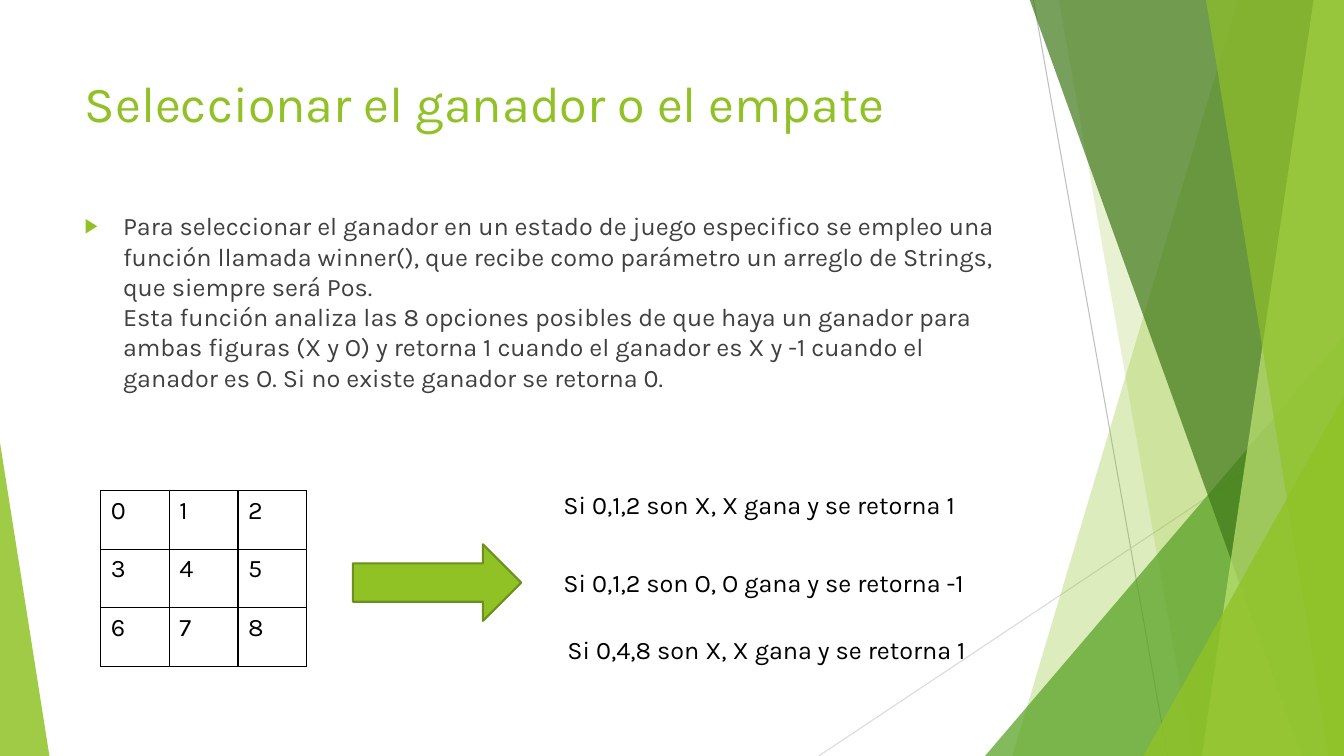
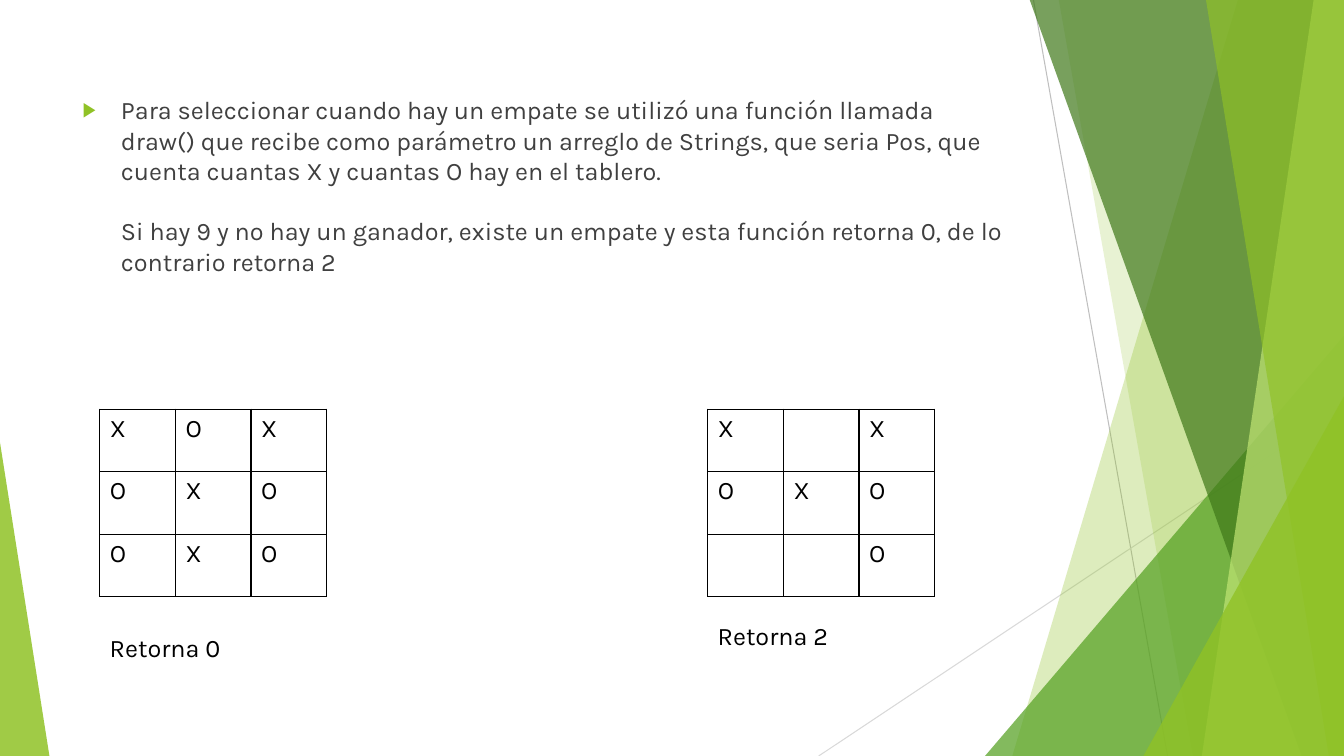
from dataclasses import dataclass
from typing import Any, NamedTuple, Optional

from lxml import etree
from pptx import Presentation
from pptx import util as u
from pptx.dml.color import RGBColor
from pptx.enum import shapes, text
from pptx.oxml import ns
from pptx.slide import Slide, SlideLayout


# Theme: every colour and type size
@dataclass(frozen=True)
class Theme:
    font: str = "Karla"
    lime: str = "90C226"
    green: str = "54A021"
    forest: str = "3F7819"
    pale: str = "C0E474"
    olive: str = "6B901C"
    ink: str = "404040"
    black: str = "000000"
    grey: str = "BFBFBF"
    light_grey: str = "D9D9D9"
    title_size: float = 36
    text_size: float = 18
    indent: float = 0.38


THEME = Theme()
WIDTH, HEIGHT = 13.33, 7.5
OVERHANG = -0.01


class Box(NamedTuple):
    left: float
    top: float
    width: float
    height: float

    def lengths(self) -> list[u.Length]:
        return [u.Inches(value) for value in self]


class Ray(NamedTuple):
    start: tuple[float, float]
    end: tuple[float, float]
    colour: str


class Band(NamedTuple):
    """Full-height band from a slanted left edge to the right slide edge."""
    top_x: float
    bottom_x: float
    colour: str
    opacity: int


class Wedge(NamedTuple):
    box: Box
    apex: float
    colour: str
    opacity: int


class Point(NamedTuple):
    """One paragraph of the body; only the first of a point has a bullet."""
    words: str
    gap: float
    bullet: bool = False


class Note(NamedTuple):
    words: str
    box: Box


class Board(NamedTuple):
    rows: tuple[str, str, str]
    left: float
    top: float
    column: float
    row: float


DECOR = (
    Ray((10.25, 0), (11.58, HEIGHT), THEME.grey),
    Ray((WIDTH, 4.03), (8.12, HEIGHT), THEME.light_grey),
    Band(12.28, 10.04, THEME.lime, 30),
    Band(10.5, 11.83, THEME.lime, 20),
    Wedge(Box(9.77, 3.33, 3.56, 4.17), 1, THEME.green, 72),
    Band(10.21, 12.91, THEME.forest, 70),
    Band(13.03, 11.92, THEME.pale, 70),
    Band(11.96, 13.18, THEME.lime, 65),
    Wedge(Box(11.34, 3.93, 1.99, 3.57), 1, THEME.lime, 80),
    Wedge(Box(0, 4.39, 0.49, 3.11), 0, THEME.lime, 85),
)


# Formatting helpers
def apply(target: Any, formats: dict[str, Any]) -> None:
    for name, value in formats.items():
        setattr(target, name, value)


def child(parent: Any, tag: str, **attributes: str) -> Any:
    return etree.SubElement(parent, ns.qn(tag), attributes)


def style_text(frame: Any, size: float, colour: str) -> None:
    for paragraph in frame.paragraphs:
        paragraph.alignment = text.PP_ALIGN.LEFT
        for run in paragraph.runs:
            apply(run.font, {"name": THEME.font, "size": u.Pt(size)})
            run.font.color.rgb = RGBColor.from_string(colour)


def fit_frame(placeholder: Any, box: Box) -> Any:
    apply(placeholder, dict(zip(("left", "top", "width", "height"), box.lengths())))
    frame = placeholder.text_frame
    apply(frame, {"word_wrap": True, "auto_size": text.MSO_AUTO_SIZE.NONE,
                  "vertical_anchor": text.MSO_ANCHOR.TOP})
    return frame


def fill_shape(shape: Any, colour: str, opacity: int = 100) -> None:
    shape.shadow.inherit = False
    shape.fill.solid()
    shape.fill.fore_color.rgb = RGBColor.from_string(colour)
    shape.line.fill.background()
    if opacity < 100:
        tint = shape.element.xpath("./p:spPr/a:solidFill/a:srgbClr")[0]
        child(tint, "a:alpha", val=str(opacity * 1000))


# Shared facet decoration
def draw_ray(slide: Slide, ray: Ray) -> Any:
    ends = [u.Inches(value) for value in (*ray.start, *ray.end)]
    line = slide.shapes.add_connector(shapes.MSO_CONNECTOR.STRAIGHT, *ends)
    line.line.color.rgb = RGBColor.from_string(ray.colour)
    line.line.width = u.Pt(0.75)
    child(line.element.spPr, "a:effectLst")
    return line


def draw_band(slide: Slide, band: Band) -> Any:
    corners = [(u.Inches(x), u.Inches(y)) for x, y in (
        (band.top_x, OVERHANG), (WIDTH, OVERHANG),
        (WIDTH, HEIGHT), (band.bottom_x, HEIGHT))]
    builder = slide.shapes.build_freeform(*corners[0])
    builder.add_line_segments(corners[1:], close=True)
    facet = builder.convert_to_shape()
    fill_shape(facet, band.colour, band.opacity)
    return facet


def draw_wedge(slide: Slide, wedge: Wedge) -> Any:
    facet = slide.shapes.add_shape(
        shapes.MSO_SHAPE.ISOSCELES_TRIANGLE, *wedge.box.lengths())
    facet.adjustments[0] = wedge.apex
    fill_shape(facet, wedge.colour, wedge.opacity)
    return facet


def decorate_layout(layout: SlideLayout, slide: Slide) -> None:
    """Draw the facets on a slide, then move them behind the layout's parts."""
    draw = {Ray: draw_ray, Band: draw_band, Wedge: draw_wedge}
    tree = layout.shapes.element
    for order, part in enumerate(DECOR):
        facet = draw[type(part)](slide, part).element
        facet.xpath(".//p:cNvPr")[0].set("id", str(100 + order))
        tree.insert(2 + order, facet)


# Slide content
def write_title(slide: Slide, words: Optional[str]) -> None:
    title = slide.shapes.title
    if words is None:
        title.element.getparent().remove(title.element)
        return
    frame = fit_frame(title, Box(0.74, 0.67, 9.4, 1.44))
    frame.text = words
    style_text(frame, THEME.title_size, THEME.lime)


def write_body(slide: Slide, box: Box, points: tuple[Point, ...]) -> None:
    frame = fit_frame(slide.placeholders[1], box)
    for order, point in enumerate(points):
        paragraph = frame.paragraphs[0] if order == 0 else frame.add_paragraph()
        paragraph.text = point.words
        paragraph.space_before = u.Pt(point.gap)
        properties = paragraph._p.get_or_add_pPr()
        indent = u.Inches(THEME.indent)
        properties.set("marL", str(indent))
        properties.set("indent", str(-indent if point.bullet else 0))
        if point.bullet:
            child(child(properties, "a:buClr"), "a:srgbClr", val=THEME.lime)
            child(properties, "a:buSzPct", val="80000")
            child(properties, "a:buFont", typeface="Arial")
            child(properties, "a:buChar", char="▶")
        else:
            child(properties, "a:buNone")
    style_text(frame, THEME.text_size, THEME.ink)


def write_note(slide: Slide, note: Note) -> None:
    frame = slide.shapes.add_textbox(*note.box.lengths()).text_frame
    apply(frame, {"text": note.words, "word_wrap": True,
                  "auto_size": text.MSO_AUTO_SIZE.SHAPE_TO_FIT_TEXT})
    style_text(frame, THEME.text_size, THEME.black)


def draw_board(slide: Slide, board: Board) -> None:
    size = len(board.rows)
    box = Box(board.left, board.top, size * board.column, size * board.row)
    grid = slide.shapes.add_table(size, size, *box.lengths()).table
    apply(grid, {"first_row": False, "horz_banding": False})
    for column in grid.columns:
        column.width = u.Inches(board.column)
    for row, marks in zip(grid.rows, board.rows):
        row.height = u.Inches(board.row)
        for cell, mark in zip(row.cells, marks):
            cell.text = mark.strip()
            style_text(cell.text_frame, THEME.text_size, THEME.black)
            properties = cell._tc.get_or_add_tcPr()
            for side in "LRTB":
                border = child(properties, f"a:ln{side}", w=str(u.Pt(1)))
                child(child(border, "a:solidFill"), "a:srgbClr", val=THEME.black)
            cell.fill.background()


def draw_arrow(slide: Slide, box: Box) -> None:
    arrow = slide.shapes.add_shape(shapes.MSO_SHAPE.RIGHT_ARROW, *box.lengths())
    fill_shape(arrow, THEME.lime)
    arrow.line.color.rgb = RGBColor.from_string(THEME.olive)
    arrow.line.width = u.Pt(1.5)


def build_winner(slide: Slide) -> None:
    write_title(slide, "Seleccionar el ganador o el empate")
    write_body(slide, Box(0.74, 2.04, 9.4, 4.24), (
        Point("Para seleccionar el ganador en un estado de juego especifico se "
              "empleo una función llamada winner(), que recibe como parámetro un "
              "arreglo de Strings, que siempre será Pos.", 10, bullet=True),
        Point("Esta función analiza las 8 opciones posibles de que haya un ganador "
              "para ambas figuras (X y O) y retorna 1 cuando el ganador es X y -1 "
              "cuando el ganador es O. Si no existe ganador se retorna 0.", 0),
    ))
    draw_board(slide, Board(("012", "345", "678"), 1, 4.87, 0.68, 0.58))
    draw_arrow(slide, Box(3.5, 5.4, 1.67, 0.76))
    for note in (
        Note("Si 0,1,2 son X, X gana y se retorna 1", Box(5.49, 4.81, 4.69, 0.4)),
        Note("Si 0,1,2 son O, O gana y se retorna -1", Box(5.49, 5.58, 4.69, 0.4)),
        Note("Si 0,4,8 son X, X gana y se retorna 1", Box(5.53, 6.24, 4.69, 0.4)),
    ):
        write_note(slide, note)


def build_draw(slide: Slide) -> None:
    write_title(slide, None)
    write_body(slide, Box(0.72, 0.89, 9.4, 6.01), (
        Point("Para seleccionar cuando hay un empate se utilizó una función llamada "
              "draw() que recibe como parámetro un arreglo de Strings, que seria "
              "Pos, que cuenta cuantas X y cuantas O hay en el tablero.",
              10, bullet=True),
        Point("Si hay 9 y no hay un ganador, existe un empate y esta función "
              "retorna 0, de lo contrario retorna 2", 21.5),
    ))
    for rows, left, result, result_top in (
        (("XOX", "OXO", "OXO"), 0.99, "Retorna 0", 6.22),
        (("X X", "OXO", "  O"), 7.02, "Retorna 2", 6.11),
    ):
        draw_board(slide, Board(rows, left, 4.06, 0.75, 0.62))
        write_note(slide, Note(result, Box(left, result_top, 2.34, 0.4)))


def main() -> None:
    deck = Presentation()
    apply(deck, {"slide_width": u.Inches(WIDTH), "slide_height": u.Inches(HEIGHT)})
    layout = deck.slide_layouts[1]
    winner, draw = (deck.slides.add_slide(layout) for _ in range(2))
    decorate_layout(layout, winner)
    build_winner(winner)
    build_draw(draw)
    deck.save("out.pptx")


if __name__ == "__main__":
    main()
